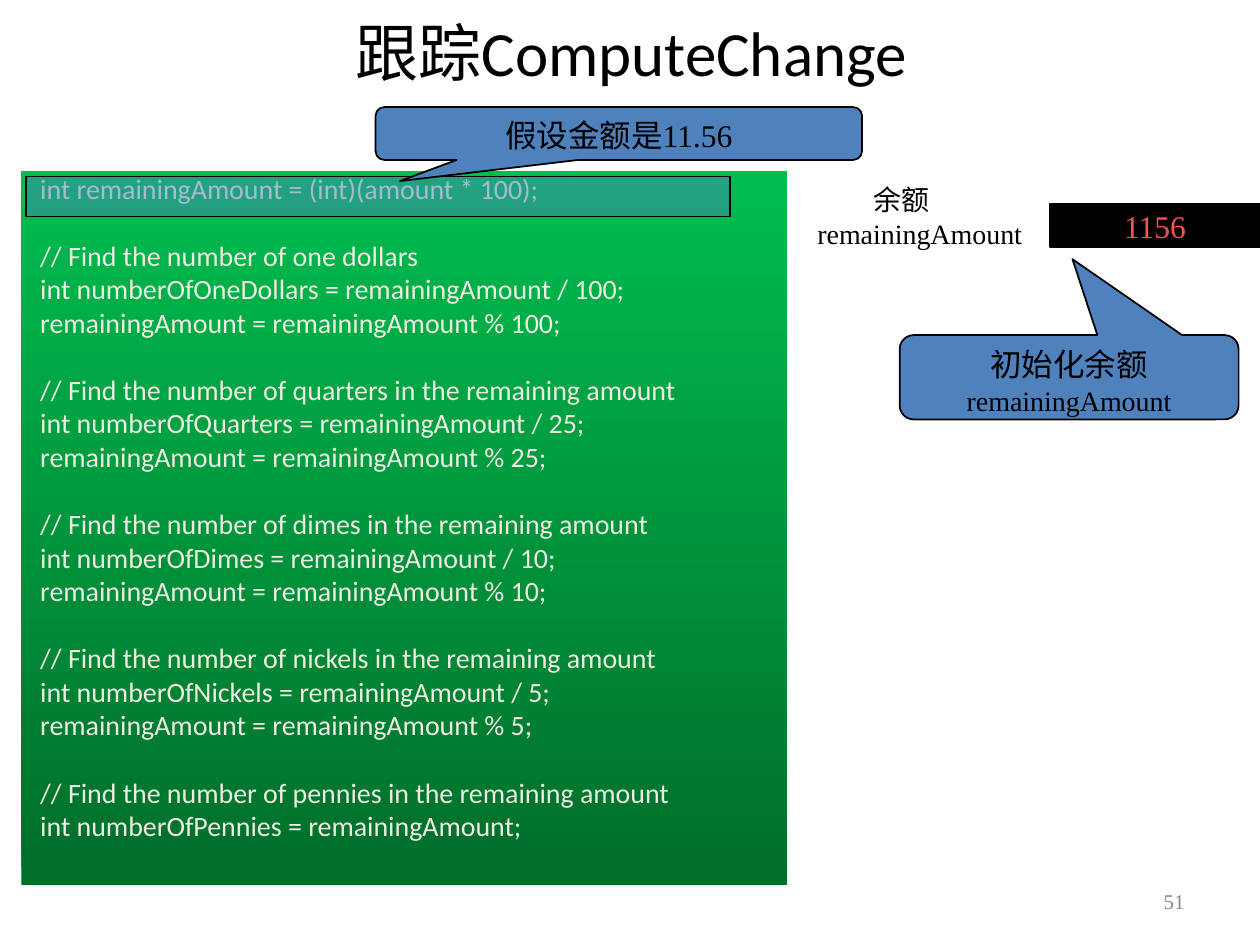
"""Build the slide that traces ComputeChange at its first statement."""
from dataclasses import dataclass

from lxml.etree import SubElement
from pptx import Presentation
from pptx.dml.color import RGBColor
from pptx.enum.shapes import MSO_SHAPE
from pptx.enum.text import MSO_ANCHOR, PP_ALIGN
from pptx.oxml.ns import qn
from pptx.util import Pt


@dataclass(frozen=True)
class Theme:
    ink: str = "000000"
    code_ink: str = "EEECE1"
    code_bottom: str = "006D2A"
    code_top: str = "00BD4F"
    accent: str = "4F81BD"
    value_ink: str = "FF5050"
    muted: str = "898989"
    sans: str = "Calibri"
    serif: str = "Times New Roman"
    title_size: float = 36
    note_size: float = 18
    body_size: float = 16
    page_size: float = 12
    code_line_gap: float = 3.75
    code_group_gap: float = 23.1
    code_line_height: float = 0.8


CODE_GROUPS = [
    ["int remainingAmount = (int)(amount * 100);"],
    ["// Find the number of one dollars",
     "int numberOfOneDollars = remainingAmount / 100;",
     "remainingAmount = remainingAmount % 100;"],
    ["// Find the number of quarters in the remaining amount",
     "int numberOfQuarters = remainingAmount / 25;",
     "remainingAmount = remainingAmount % 25;"],
    ["// Find the number of dimes in the remaining amount",
     "int numberOfDimes = remainingAmount / 10;",
     "remainingAmount = remainingAmount % 10;"],
    ["// Find the number of nickels in the remaining amount",
     "int numberOfNickels = remainingAmount / 5;",
     "remainingAmount = remainingAmount % 5;"],
    ["// Find the number of pennies in the remaining amount",
     "int numberOfPennies = remainingAmount;"],
]


def write(frame, text, *, size, color, font, align=PP_ALIGN.LEFT, before=0,
          spacing=None, indent=0, first=True):
    paragraph = frame.paragraphs[0] if first else frame.add_paragraph()
    paragraph.alignment = align
    paragraph.space_before = Pt(before)
    if spacing:
        paragraph.line_spacing = spacing
    if indent:
        paragraph._p.get_or_add_pPr().set("indent", str(Pt(indent)))
    run = paragraph.add_run()
    run.text = text
    run.font.size = Pt(size)
    run.font.name = font
    run.font.color.rgb = RGBColor.from_string(color)


class TraceSlide:
    def __init__(self, slide, theme):
        self.slide = slide
        self.theme = theme

    def title(self, text, box):
        heading = self.slide.shapes.title
        heading.left, heading.top, heading.width, heading.height = map(Pt, box)
        heading.text_frame.vertical_anchor = MSO_ANCHOR.MIDDLE
        write(heading.text_frame, text, size=self.theme.title_size,
              color=self.theme.ink, font=self.theme.sans, align=PP_ALIGN.CENTER)

    def block(self, box, fill=None, kind=MSO_SHAPE.RECTANGLE, outlined=True):
        shape = self.slide.shapes.add_shape(kind, *map(Pt, box))
        shape.shadow.inherit = False
        if fill:
            shape.fill.solid()
            shape.fill.fore_color.rgb = RGBColor.from_string(fill)
        if outlined:
            shape.line.color.rgb = RGBColor.from_string(self.theme.ink)
            shape.line.width = Pt(1)
        else:
            shape.line.fill.background()
        shape.text_frame.word_wrap = True
        shape.text_frame.vertical_anchor = MSO_ANCHOR.TOP
        return shape

    def code(self, groups, box):
        theme = self.theme
        panel = self.block(box, outlined=False)
        panel.fill.gradient()
        panel.fill.gradient_angle = 90
        for stop, color in zip(panel.fill.gradient_stops,
                               (theme.code_bottom, theme.code_top)):
            stop.color.rgb = RGBColor.from_string(color)
        frame = panel.text_frame
        frame.margin_left = Pt(10.8)
        for group_index, group in enumerate(groups):
            for line_index, line in enumerate(group):
                first = group_index == line_index == 0
                gap = theme.code_line_gap if line_index else theme.code_group_gap
                write(frame, line, size=theme.body_size, color=theme.code_ink,
                      font=theme.sans, before=0 if first else gap,
                      spacing=theme.code_line_height, first=first)

    def highlight(self, box, opacity):
        marker = self.block(box, self.theme.accent)
        color = marker.fill._xPr.find(qn("a:solidFill"))[0]
        SubElement(color, qn("a:alpha")).set("val", str(opacity * 1000))

    def value(self, text, box):
        frame = self.block(box, self.theme.ink).text_frame
        frame.word_wrap = False
        frame.vertical_anchor = MSO_ANCHOR.MIDDLE
        frame.margin_left = frame.margin_right = Pt(1)
        frame.margin_top = frame.margin_bottom = Pt(1)
        write(frame, text, size=self.theme.note_size, color=self.theme.value_ink,
              font=self.theme.serif, align=PP_ALIGN.CENTER)

    def label(self, text, box, anchor=MSO_ANCHOR.TOP, **style):
        frame = self.slide.shapes.add_textbox(*map(Pt, box)).text_frame
        frame.word_wrap = True
        frame.vertical_anchor = anchor
        write(frame, text, font=self.theme.serif, **style)

    def callout(self, lines, box, tip):
        bubble = self.block(box, self.theme.accent,
                            MSO_SHAPE.ROUNDED_RECTANGULAR_CALLOUT)
        for index, offset in enumerate(tip):
            bubble.adjustments[index] = offset
        for index, (text, size) in enumerate(lines):
            write(bubble.text_frame, text, size=size, color=self.theme.ink,
                  font=self.theme.serif, align=PP_ALIGN.CENTER, first=index == 0)


def main():
    theme = Theme()
    deck = Presentation()
    deck.slide_width, deck.slide_height = Pt(720), Pt(540)
    trace = TraceSlide(deck.slides.add_slide(deck.slide_layouts[5]), theme)
    trace.title("跟踪ComputeChange", (54.7, 13, 612, 33.1))
    trace.code(CODE_GROUPS, (12.2, 97.9, 437.8, 408))
    trace.label("51", (516, 500.4, 168, 28.8), anchor=MSO_ANCHOR.MIDDLE,
                size=theme.page_size, color=theme.muted, align=PP_ALIGN.RIGHT)
    trace.value("1156", (600, 116.6, 120, 24.5))
    trace.label("余额remainingAmount", (460, 100.8, 136, 46),
                size=theme.body_size, color=theme.ink, indent=32)
    trace.highlight((15, 100.8, 402, 23), opacity=45)
    trace.callout([("初始化余额", theme.note_size),
                   ("remainingAmount", theme.body_size)],
                  (514.1, 191.5, 193.7, 48.2), tip=(0.01, -1.4))
    trace.callout([("假设金额是11.56", theme.note_size)],
                  (214.6, 61.2, 278, 30.2), tip=(-0.45, 0.9))
    deck.save("out.pptx")


if __name__ == "__main__":
    main()
